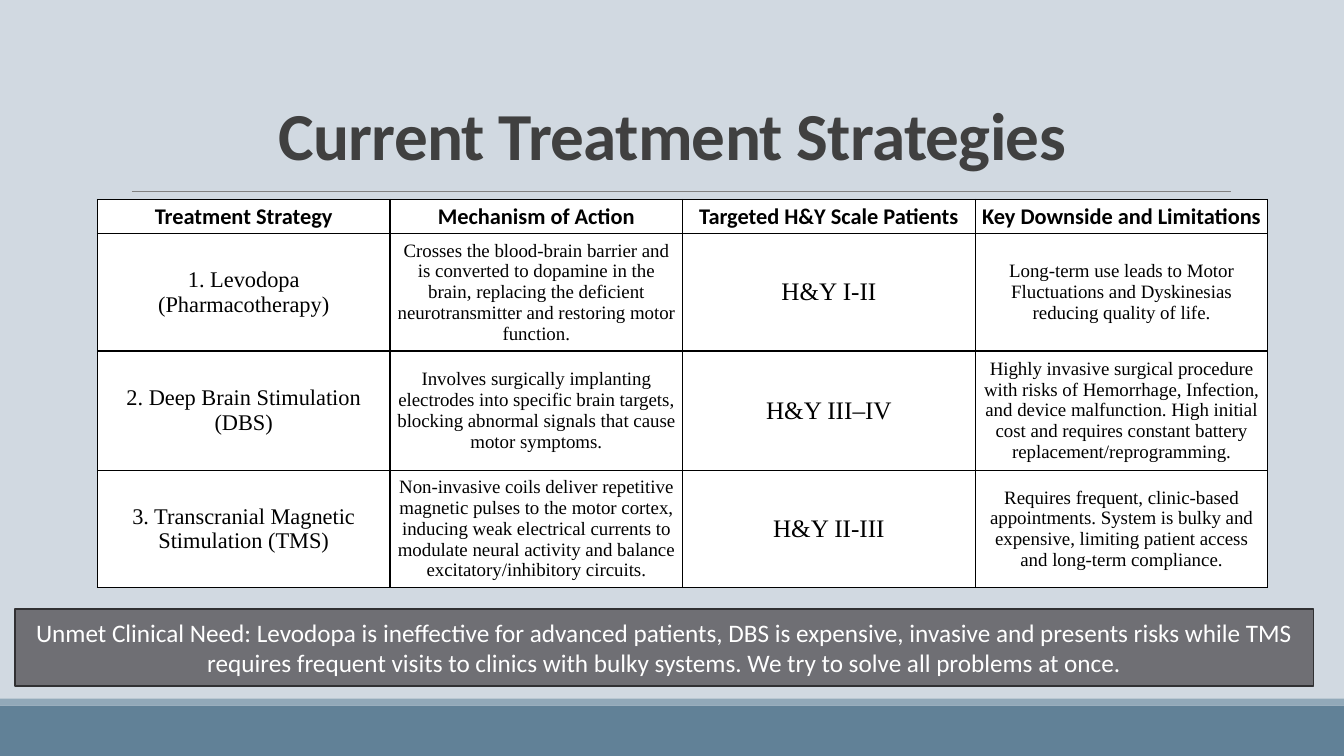
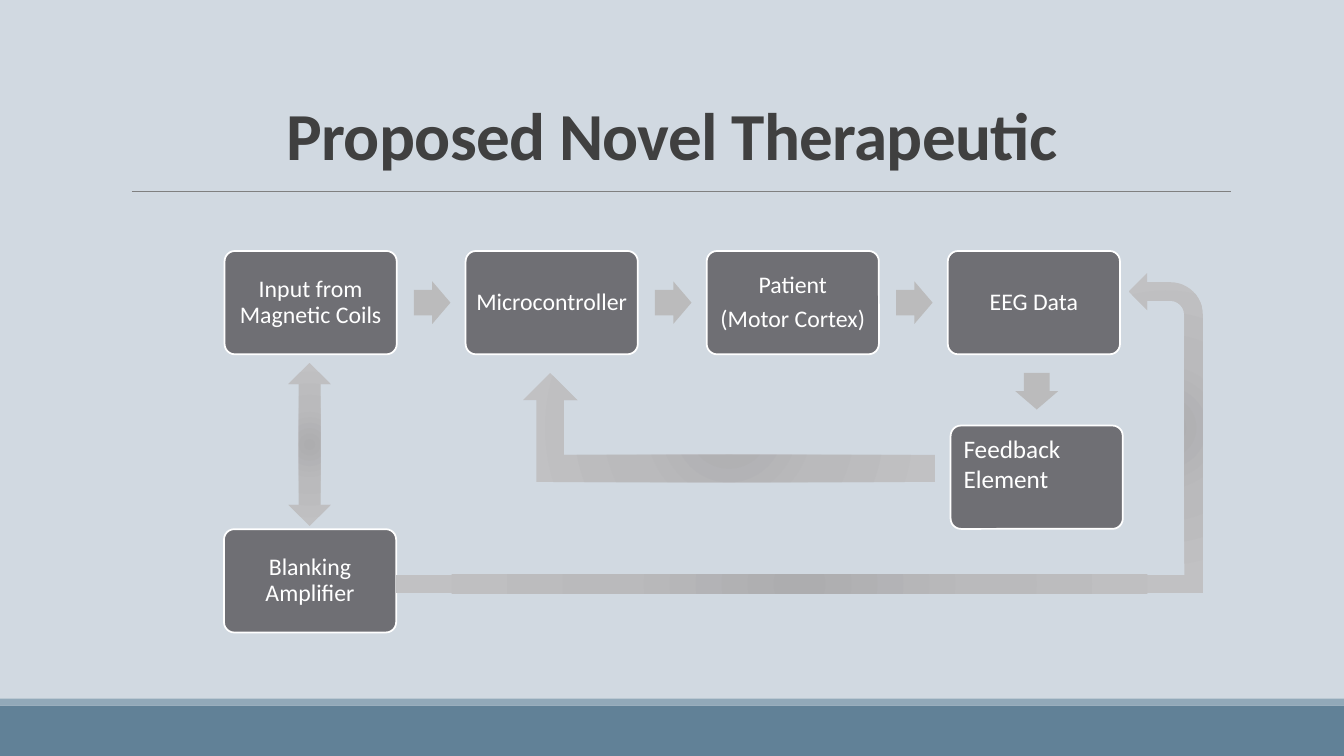
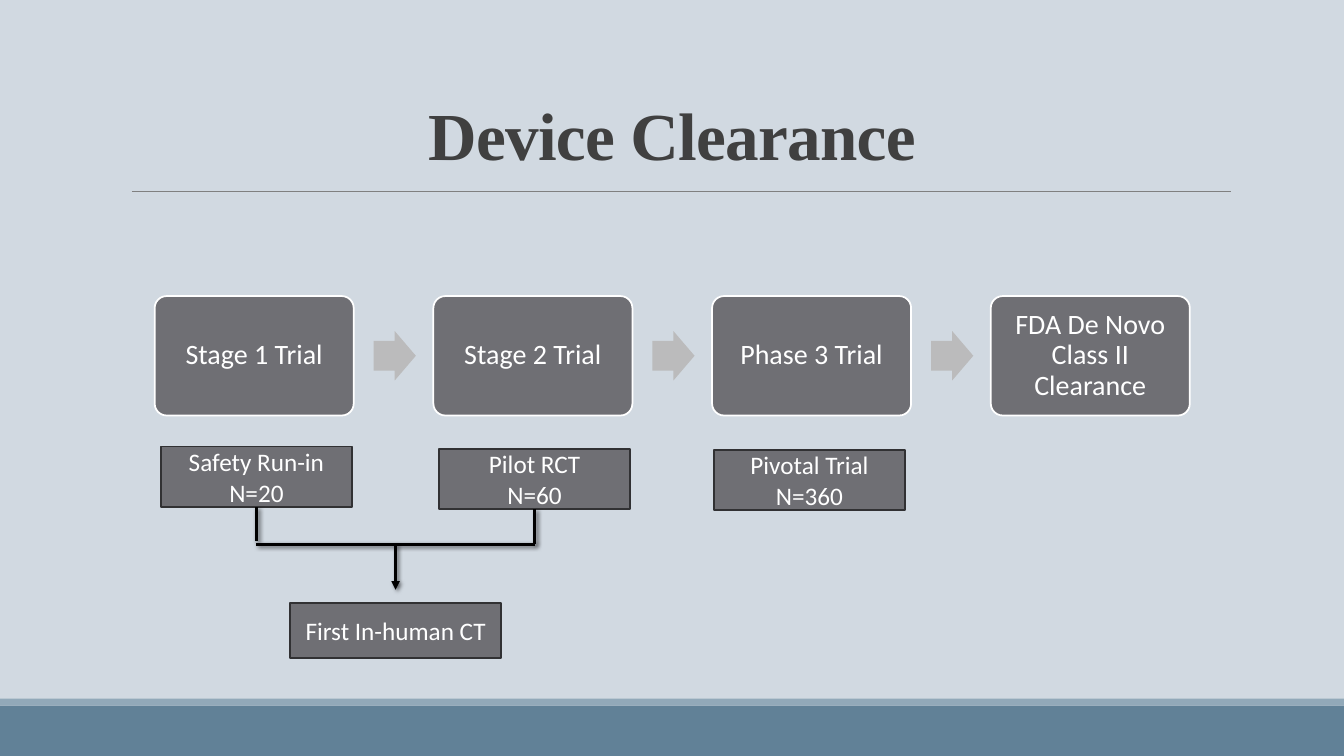
from pptx import Presentation
from pptx.dml.color import RGBColor
from pptx.enum.shapes import MSO_CONNECTOR, MSO_SHAPE
from pptx.enum.text import MSO_ANCHOR, PP_ALIGN
from pptx.oxml import parse_xml
from pptx.oxml.ns import nsdecls, qn
from pptx.util import Pt

rgb = RGBColor.from_string
NS = nsdecls("a")
GRAY, PALE, WHITE, BLACK, EDGE = "6F6F74", "BBBBBC", "FFFFFF", "000000", "313133"
SANS, SERIF = "Calibri", "Times New Roman"

GRADIENT = (
    f'<a:gradFill {NS} rotWithShape="1"><a:gsLst>'
    + "".join(f'<a:gs pos="{pos}"><a:srgbClr val="{c}"/></a:gs>'
              for pos, c in ((0, "ADADAF"), (45000, "BABABC"), (100000, "C1C1C3")))
    + '</a:gsLst><a:path path="circle"><a:fillToRect l="100000" t="100000" '
      'r="100000" b="100000"/></a:path></a:gradFill>')
SHADOW = (
    f'<a:effectLst {NS}><a:outerShdw blurRad="38100" dist="25400" dir="2700000">'
    '<a:srgbClr val="000000"><a:alpha val="60000"/></a:srgbClr>'
    '</a:outerShdw></a:effectLst>')


def write(tf, text, color=WHITE, align=PP_ALIGN.CENTER, spacing=None, gap=0, **font):
    """Write one paragraph per line of text; font holds run format values."""
    for i, line in enumerate(text.split("\n")):
        p = tf.paragraphs[0] if i == 0 else tf.add_paragraph()
        p.alignment = align
        if spacing:
            p.line_spacing = spacing
        if i and gap:
            p.space_before = Pt(gap)
        r = p.add_run()
        r.text = line
        for key, value in {"name": SANS, "size": Pt(18), **font}.items():
            setattr(r.font, key, value)
        r.font.color.rgb = rgb(color)


def add_box(s, kind, x, y, w, h, fill=None, line=None, text="", adj=(), flip=False,
            inset=None, anchor=MSO_ANCHOR.MIDDLE, **fmt):
    """Add a preset shape; without a fill colour it takes the gray gradient."""
    sp = s.shapes.add_shape(kind, Pt(x), Pt(y), Pt(w), Pt(h))
    sp.shadow.inherit = False
    for i, value in enumerate(adj):
        sp.adjustments[i] = value
    sp.fill.solid()
    if fill:
        sp.fill.fore_color.rgb = rgb(fill)
    else:
        solid = sp._element.spPr.find(qn("a:solidFill"))
        solid.getparent().replace(solid, parse_xml(GRADIENT))
    if line:
        sp.line.color.rgb = rgb(line)
        sp.line.width = Pt(1.25)
    else:
        sp.line.fill.background()
    if flip:
        sp._element.spPr.find(qn("a:xfrm")).set("flipH", "1")
    if text:
        tf = sp.text_frame
        tf.word_wrap = True
        tf.vertical_anchor = anchor
        if inset:
            for side in ("left", "top", "right", "bottom"):
                setattr(tf, f"margin_{side}", Pt(inset))
        write(tf, text, **fmt)
    return sp


prs = Presentation()
prs.slide_width, prs.slide_height = Pt(960), Pt(540)
background = prs.slide_master.background.fill
background.solid()
background.fore_color.rgb = rgb("D1D9E1")

# Shared parts: bands, title and rule
slides = []
for title, font in (("Current Treatment Strategies", SANS),
                    ("Proposed Novel Therapeutic", SANS),
                    ("Device Clearance", SERIF)):
    s = prs.slides.add_slide(prs.slide_layouts[6])
    add_box(s, MSO_SHAPE.RECTANGLE, 0, 504, 960, 36, "618197")
    add_box(s, MSO_SHAPE.RECTANGLE, 0, 499, 960, 5, "92A9B9")
    rule = s.shapes.add_connector(MSO_CONNECTOR.STRAIGHT, Pt(94.3), Pt(136.8), Pt(879), Pt(136.8))
    rule.line.color.rgb = rgb("808080")
    rule.line.width = Pt(0.5)
    rule._element.spPr.append(parse_xml(f"<a:effectLst {NS}/>"))
    tf = s.shapes.add_textbox(Pt(84), Pt(61.2), Pt(792), Pt(67)).text_frame
    tf.word_wrap = True
    tf.vertical_anchor = MSO_ANCHOR.BOTTOM
    write(tf, title, "404040", spacing=0.85, name=font, size=Pt(48), bold=True)
    tf.paragraphs[0].runs[0]._r.get_or_add_rPr().set("spc", "-50")
    slides.append(s)
treatments, therapeutic, clearance = slides

# Slide 1: treatment table
rows = [
    ("Treatment Strategy", "Mechanism of Action", "Targeted H&Y Scale Patients",
     "Key Downside and Limitations"),
    ("1. Levodopa (Pharmacotherapy)",
     "Crosses the blood-brain barrier and is converted to dopamine in the brain, replacing "
     "the deficient neurotransmitter and restoring motor function.",
     "H&Y I-II",
     "Long-term use leads to Motor Fluctuations and Dyskinesias reducing quality of life."),
    ("2. Deep Brain Stimulation (DBS)",
     "Involves surgically implanting electrodes into specific brain targets, blocking "
     "abnormal signals that cause motor symptoms.",
     "H&Y III–IV",
     "Highly invasive surgical procedure with risks of Hemorrhage, Infection, and device "
     "malfunction. High initial cost and requires constant battery "
     "replacement/reprogramming."),
    ("3. Transcranial Magnetic Stimulation (TMS)",
     "Non-invasive coils deliver repetitive magnetic pulses to the motor cortex, inducing "
     "weak electrical currents to modulate neural activity and balance "
     "excitatory/inhibitory circuits.",
     "H&Y II-III",
     "Requires frequent, clinic-based appointments. System is bulky and expensive, limiting "
     "patient access and long-term compliance."),
]
heights = (24.5, 77.8, 85.2, 77.6)
body_sizes = (16, 13.5, 18, 13.5)
table = treatments.shapes.add_table(4, 4, Pt(69.6), Pt(142.4), Pt(836), Pt(sum(heights))).table
table.first_row = table.horz_banding = False
for i, row in enumerate(rows):
    table.rows[i].height = Pt(heights[i])
    for j, text in enumerate(row):
        cell = table.cell(i, j)
        cell.vertical_anchor = MSO_ANCHOR.MIDDLE
        cell.margin_left = cell.margin_right = Pt(3.6)
        cell.margin_top = cell.margin_bottom = Pt(1.44)
        for side in "LRTB":
            cell._tc.get_or_add_tcPr().append(parse_xml(
                f'<a:ln{side} {NS} w="12700"><a:solidFill><a:srgbClr val="{BLACK}"/>'
                f'</a:solidFill></a:ln{side}>'))
        cell.fill.solid()
        cell.fill.fore_color.rgb = rgb(WHITE)
        write(cell.text_frame, text, BLACK, bold=i == 0, name=SERIF if i else SANS,
              size=Pt(body_sizes[j] if i else 16))

add_box(treatments, MSO_SHAPE.RECTANGLE, 10.8, 434.9, 927.4, 55.4, GRAY, EDGE,
        "Unmet Clinical Need: Levodopa is ineffective for advanced patients, DBS is expensive, "
        "invasive and presents risks while TMS requires frequent visits to clinics with bulky "
        "systems. We try to solve all problems at once.")

# Slides 2 and 3: process chains, every measure a share of the node width
node = dict(fill=GRAY, line=WHITE, adj=(0.1,))
label = dict(inset=4.5, spacing=0.9, gap=6)
block_arrow = dict(fill=PALE, adj=(0.6, 0.5))
for s, x0, y, w, size, steps in (
    (therapeutic, 160.4, 179.3, 123, 17,
     ("Input from Magnetic Coils", "Microcontroller", "Patient\n(Motor Cortex)", "EEG Data")),
    (clearance, 110.5, 211.5, 142.2, 20,
     ("Stage 1 Trial", "Stage 2 Trial", "Phase 3 Trial", "FDA De Novo Class II Clearance")),
):
    for i, text in enumerate(steps):
        x = x0 + i * 1.4 * w
        add_box(s, MSO_SHAPE.ROUNDED_RECTANGLE, x, y, w, 0.6 * w, text=text,
                size=Pt(size), **node, **label)
        if i < len(steps) - 1:
            add_box(s, MSO_SHAPE.RIGHT_ARROW, x + 1.1 * w, y + 0.176 * w,
                    0.212 * w, 0.248 * w, **block_arrow)

# Slide 2: feedback loop
down = add_box(therapeutic, MSO_SHAPE.RIGHT_ARROW, 727.5, 264.2, 26.1, 30.5, **block_arrow)
down.rotation = 90
add_box(therapeutic, MSO_SHAPE.ROUNDED_RECTANGLE, 679, 304, 123, 73.8, text="Feedback Element",
        anchor=MSO_ANCHOR.TOP, align=PP_ALIGN.LEFT, **node)
add_box(therapeutic, MSO_SHAPE.BENT_UP_ARROW, 373.5, 266.4, 294.5, 78, flip=True)
add_box(therapeutic, MSO_SHAPE.ROUNDED_RECTANGLE, 160, 378, 123, 73.8,
        text="Blanking Amplifier", size=Pt(17), **node, **label)
add_box(therapeutic, MSO_SHAPE.UP_DOWN_ARROW, 206, 259.2, 30.4, 116.6)
add_box(therapeutic, MSO_SHAPE.BENT_ARROW, 806.2, 195, 53, 221, flip=True)
add_box(therapeutic, MSO_SHAPE.RECTANGLE, 283, 410.6, 576.2, 13)

# Slide 3: trial notes
notes = [add_box(clearance, MSO_SHAPE.RECTANGLE, x, y, 136.4, 43.2, GRAY, EDGE, text)
         for x, y, text in ((115, 319, "Safety Run-in\nN=20"),
                            (313.7, 320.6, "Pilot RCT\nN=60"),
                            (510, 321.2, "Pivotal Trial\nN=360"))]
add_box(clearance, MSO_SHAPE.RECTANGLE, 207.2, 430.6, 150.8, 39.4, GRAY, EDGE,
        "First In-human CT")

# Slide 3: bracket from the first two notes
left, right, bus = 183.2, 381.9, 388.8
middle = (left + right) / 2
for x1, y1, x2, y2, source, arrow in (
    (left, 362.2, left, 386.6, notes[0], False),
    (right, 363.8, right, bus, notes[1], False),
    (left, bus, right, bus, None, False),
    (middle, bus, middle, 421.2, None, True),
):
    c = clearance.shapes.add_connector(MSO_CONNECTOR.STRAIGHT, Pt(x1), Pt(y1), Pt(x2), Pt(y2))
    if source:
        c.begin_connect(source, 2)
    c.line.color.rgb = rgb(BLACK)
    c.line.width = Pt(2)
    if arrow:
        c.line._get_or_add_ln().append(parse_xml(f'<a:tailEnd {NS} type="triangle"/>'))
    c._element.spPr.append(parse_xml(SHADOW))

prs.save("out.pptx")
